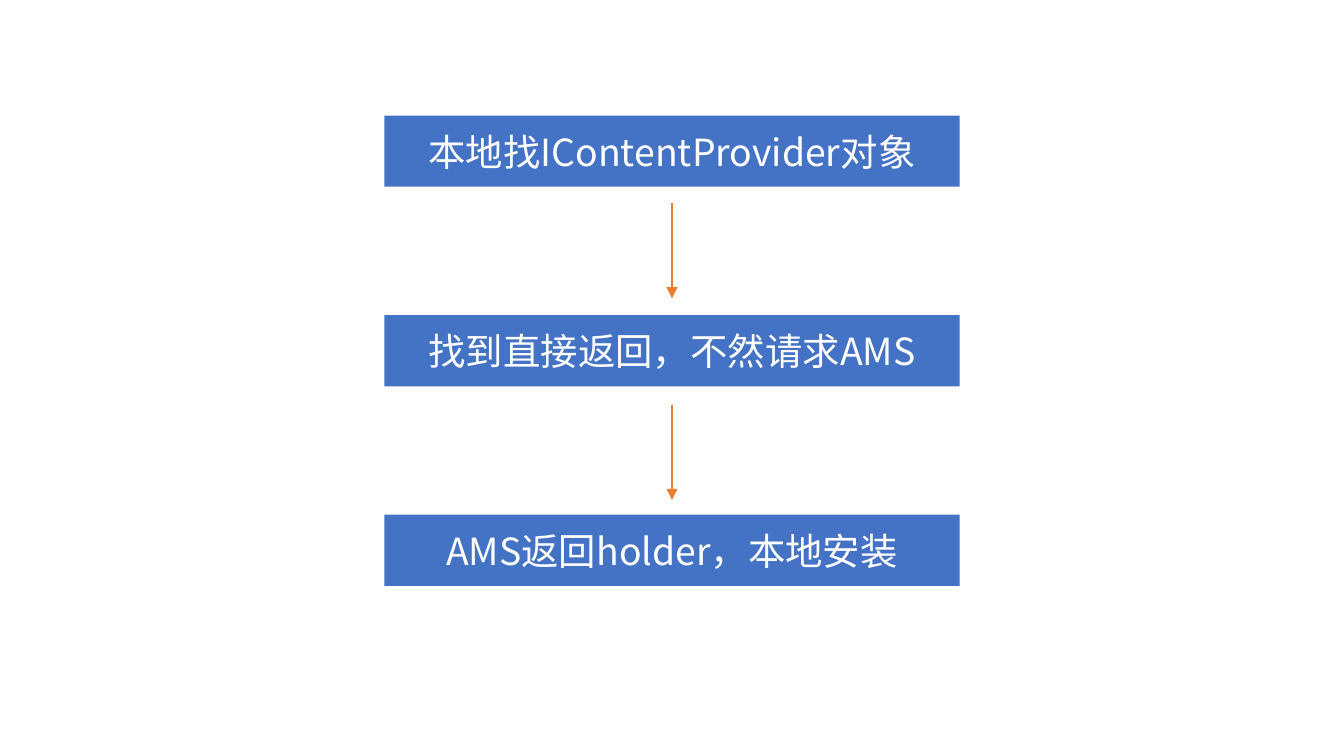
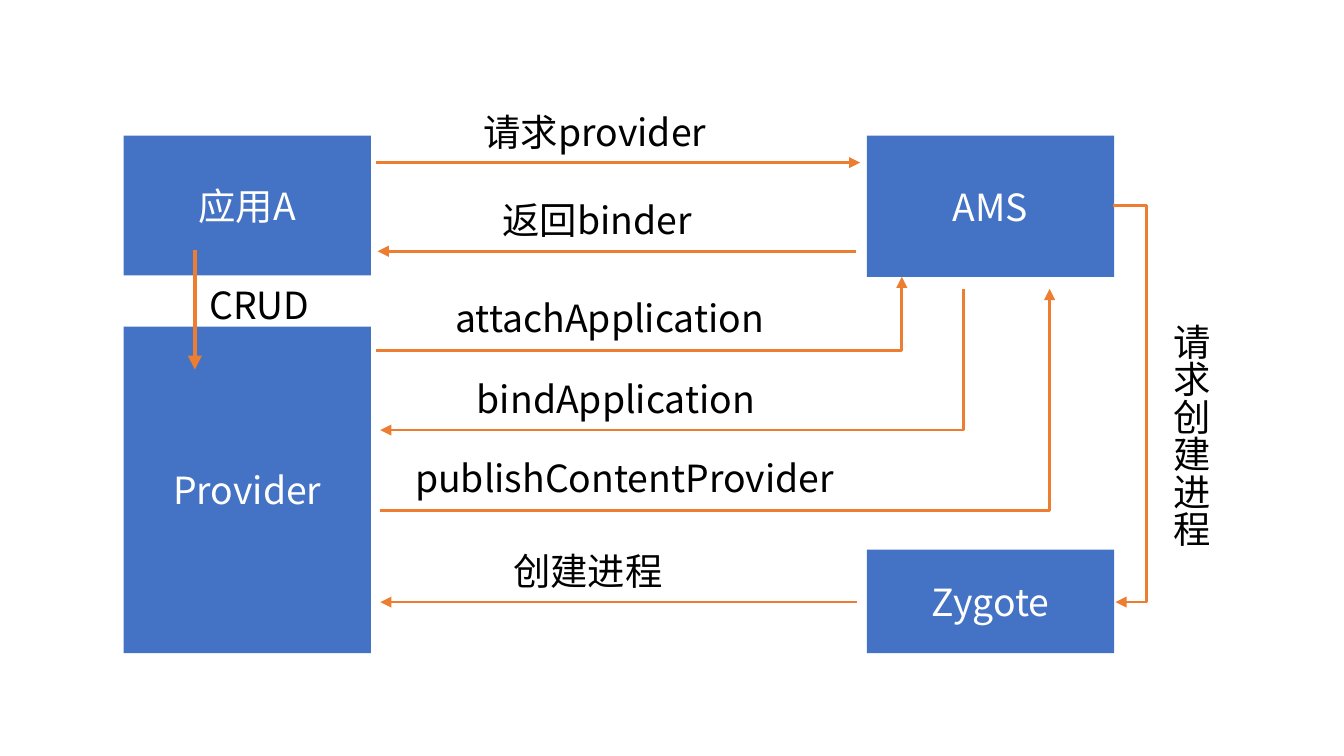
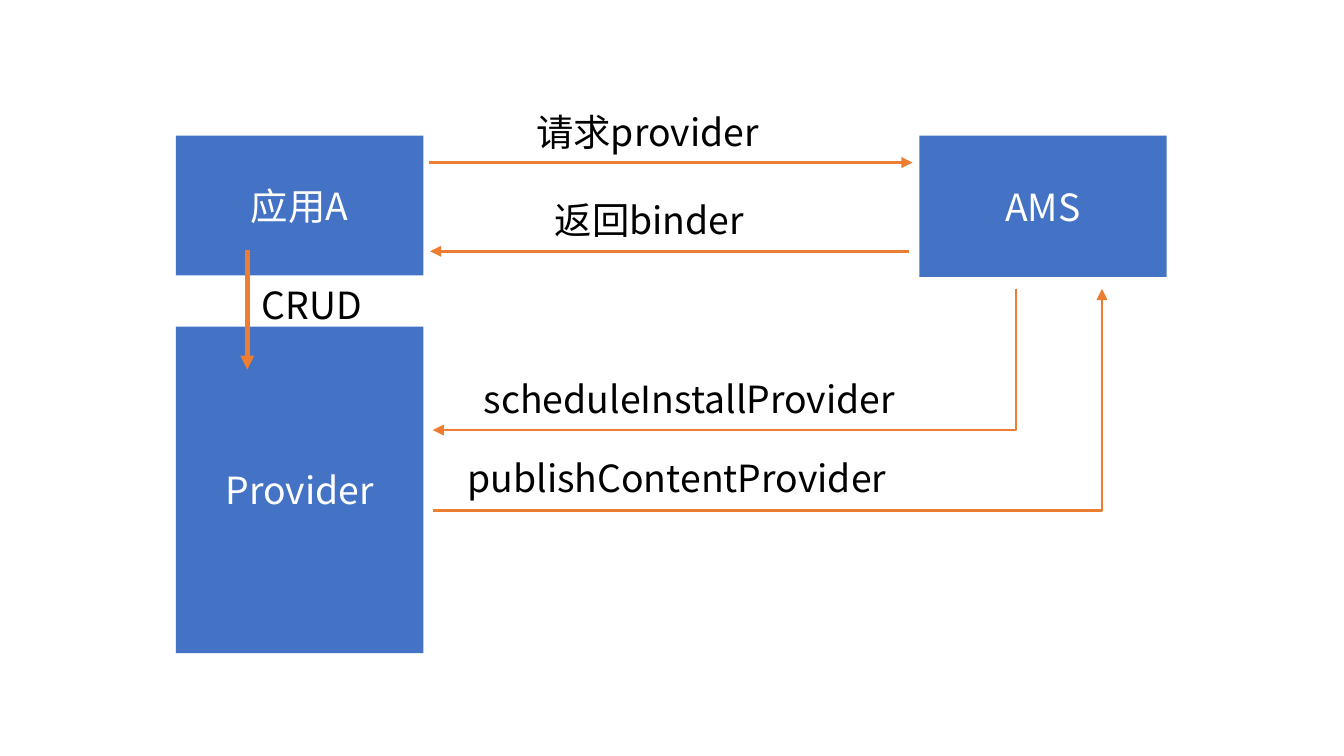
"""Build three slides on how a content provider is found, started and published."""
import pptx
import pptx.dml.color
import pptx.enum.shapes
import pptx.enum.text
import pptx.oxml
import pptx.oxml.ns
import pptx.util
from pptx.util import Inches

COLORS = {"box": "4472C4", "box_text": "FFFFFF", "arrow": "ED7D31", "label": "000000"}
FONT = "Noto Sans CJK SC"
TEXT_SIZE = 20
ARROW_WIDTH = 1.5
LABEL_HEIGHT = 0.44
SLIDE_WIDTH = 10
SLIDE_HEIGHT = SLIDE_WIDTH * 9 / 16

LOOKUP_STEPS = ["本地找IContentProvider对象", "找到直接返回，不然请求AMS", "AMS返回holder，本地安装"]
STEP_LEFT, STEP_WIDTH, STEP_HEIGHT = 2.86, 4.28, 0.53
FIRST_STEP_TOP, LAST_STEP_TOP = 0.86, 3.83
STEP_ARROW_TOP, STEP_ARROW_LENGTH, STEP_ARROW_PITCH = 1.51, 0.71, 1.5

SHARED = {
    "boxes": [
        ("应用A", 0.92, 1.01, 1.84, 1.04),
        ("AMS", 6.45, 1.01, 1.84, 1.05),
        ("Provider", 0.92, 2.43, 1.84, 2.43),
    ],
    "arrows": [
        ((2.8, 1.21), (6.4, 1.21)),
        ((6.37, 1.87), (2.81, 1.87)),
    ],
    "elbows": [
        ((7.17, 2.15), (2.83, 3.2), 7.17),
        ((2.83, 3.8), (7.81, 2.15), 7.81),
    ],
    "labels": [
        ("请求provider", 3.5, 0.76, 1.89),
        ("返回binder", 3.64, 1.42, 1.64),
        ("publishContentProvider", 2.99, 3.34, 3.39),
        ("CRUD", 1.46, 2.05, 0.99),
    ],
}
CRUD_ARROW = ((1.45, 1.86), (1.45, 2.75))
CRUD_WIDTH = 2.5

NEW_PROCESS = {
    "boxes": [("Zygote", 6.45, 4.09, 1.84, 0.77)],
    "arrows": [((6.38, 4.48), (2.83, 4.48))],
    "elbows": [
        ((8.28, 1.53), (8.3, 4.48), 8.53),
        ((2.8, 2.61), (6.71, 2.06), 6.71),
    ],
    "labels": [
        ("创建进程", 3.72, 4.03, 1.32),
        ("attachApplication", 3.29, 2.15, 2.57),
        ("bindApplication", 3.45, 2.75, 2.34),
    ],
}
PROCESS_REQUEST = ("请求创建进程", 8.54, 2.31, 0.54, 1.78)
RUNNING_PROCESS = {"labels": [("scheduleInstallProvider", 3.11, 2.75, 3.31)]}
RUNNING_SHIFT = 0.39


def rgb(name):
    return pptx.dml.color.RGBColor.from_string(COLORS[name])


def write(frame, text, color):
    paragraph = frame.paragraphs[0]
    paragraph.text = text
    paragraph.font.size = pptx.util.Pt(TEXT_SIZE)
    paragraph.font.color.rgb = rgb(color)
    paragraph.font.name = FONT
    defaults = paragraph._p.pPr.find(pptx.oxml.ns.qn("a:defRPr"))
    east_asian = pptx.oxml.parse_xml(f'<a:ea {pptx.oxml.ns.nsdecls("a")} typeface="{FONT}"/>')
    defaults.append(east_asian)
    return paragraph


def add_box(slide, text, left, top, width, height):
    box = slide.shapes.add_shape(
        pptx.enum.shapes.MSO_SHAPE.RECTANGLE,
        Inches(left), Inches(top), Inches(width), Inches(height))
    box.shadow.inherit = False
    box.fill.solid()
    box.fill.fore_color.rgb = rgb("box")
    box.line.fill.background()
    box.text_frame.vertical_anchor = pptx.enum.text.MSO_ANCHOR.MIDDLE
    write(box.text_frame, text, "box_text").alignment = pptx.enum.text.PP_ALIGN.CENTER


def add_label(slide, text, left, top, width, height=LABEL_HEIGHT, vertical=False):
    label = slide.shapes.add_textbox(Inches(left), Inches(top), Inches(width), Inches(height))
    frame = label.text_frame
    frame.word_wrap = not vertical
    frame.auto_size = pptx.enum.text.MSO_AUTO_SIZE.SHAPE_TO_FIT_TEXT
    if vertical:
        frame._txBody.bodyPr.set("vert", "eaVert")
    write(frame, text, "label")


def add_arrow(slide, start, end, turn=None, width=ARROW_WIDTH):
    kinds = pptx.enum.shapes.MSO_CONNECTOR
    arrow = slide.shapes.add_connector(
        kinds.STRAIGHT if turn is None else kinds.ELBOW,
        *(Inches(value) for value in (*start, *end)))
    arrow.line.color.rgb = rgb("arrow")
    arrow.line.width = pptx.util.Pt(width)
    namespace = pptx.oxml.ns.nsdecls("a")
    arrow.line._get_or_add_ln().append(
        pptx.oxml.parse_xml(f'<a:tailEnd {namespace} type="triangle"/>'))
    properties = arrow._element.spPr
    properties.append(pptx.oxml.parse_xml(f"<a:effectLst {namespace}/>"))
    if turn is not None:
        share = round((turn - start[0]) / (end[0] - start[0]) * 100000)
        guides = properties.find(pptx.oxml.ns.qn("a:prstGeom")).get_or_add_avLst()
        guides.append(pptx.oxml.parse_xml(
            f'<a:gd {namespace} name="adj1" fmla="val {share}"/>'))


def add_flow(slide, parts, shift=0):
    def moved(point):
        return point[0] + shift, point[1]

    def gather(kind):
        return SHARED[kind] + parts.get(kind, [])

    for text, left, *rest in gather("boxes"):
        add_box(slide, text, left + shift, *rest)
    for start, end in gather("arrows"):
        add_arrow(slide, moved(start), moved(end))
    for start, end, turn in gather("elbows"):
        add_arrow(slide, moved(start), moved(end), turn + shift)
    add_arrow(slide, *map(moved, CRUD_ARROW), width=CRUD_WIDTH)
    for text, left, *rest in gather("labels"):
        add_label(slide, text, left + shift, *rest)


deck = pptx.Presentation()
deck.slide_width, deck.slide_height = Inches(SLIDE_WIDTH), Inches(SLIDE_HEIGHT)
lookup, new_process, running_process = (
    deck.slides.add_slide(deck.slide_layouts[6]) for _ in range(3))

step_pitch = (LAST_STEP_TOP - FIRST_STEP_TOP) / (len(LOOKUP_STEPS) - 1)
for row, step in enumerate(LOOKUP_STEPS):
    add_box(lookup, step, STEP_LEFT, FIRST_STEP_TOP + row * step_pitch, STEP_WIDTH, STEP_HEIGHT)
for row in range(len(LOOKUP_STEPS) - 1):
    center = STEP_LEFT + STEP_WIDTH / 2
    top = STEP_ARROW_TOP + row * STEP_ARROW_PITCH
    add_arrow(lookup, (center, top), (center, top + STEP_ARROW_LENGTH))

add_flow(new_process, NEW_PROCESS)
add_label(new_process, *PROCESS_REQUEST, vertical=True)
add_flow(running_process, RUNNING_PROCESS, RUNNING_SHIFT)

deck.save("out.pptx")
